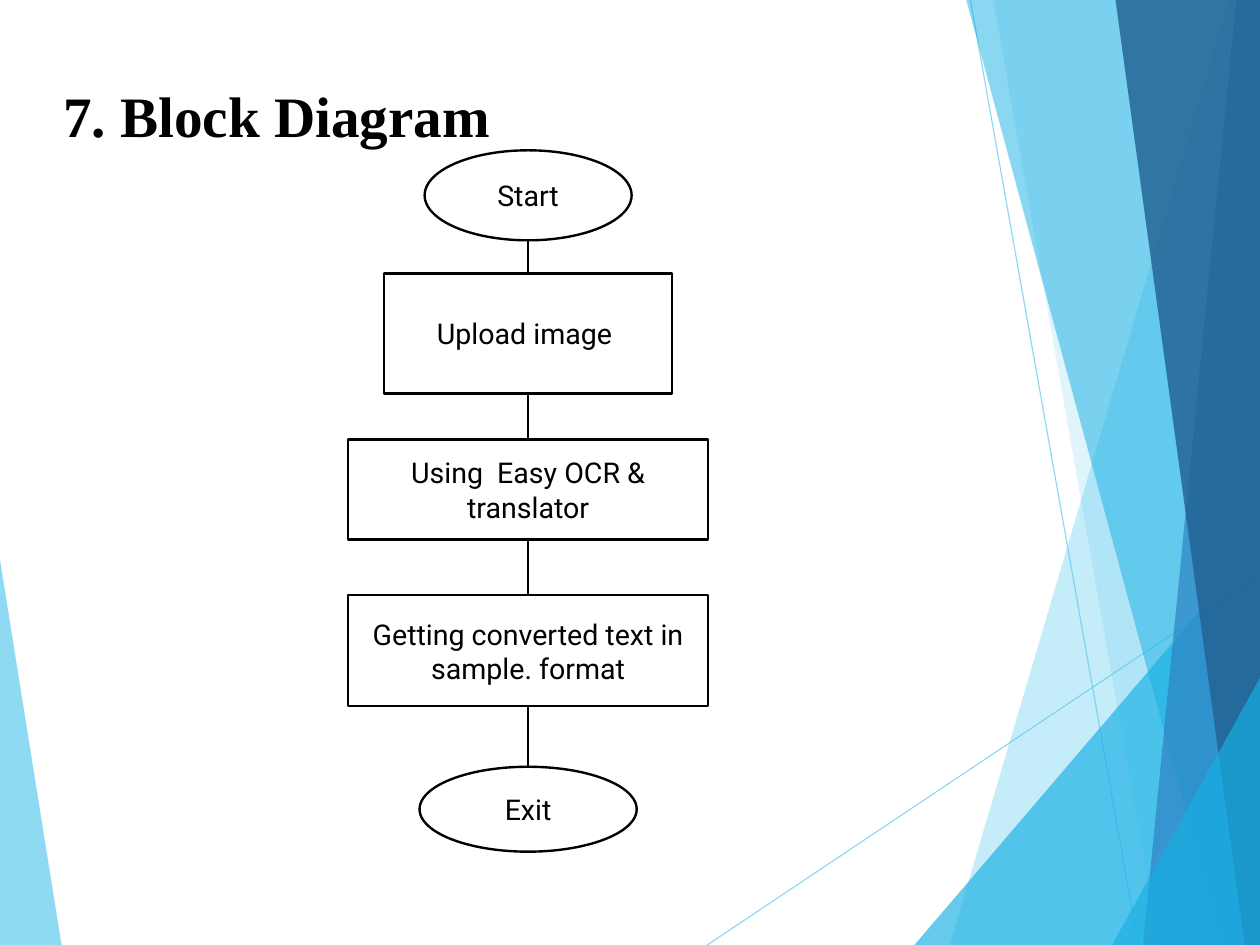
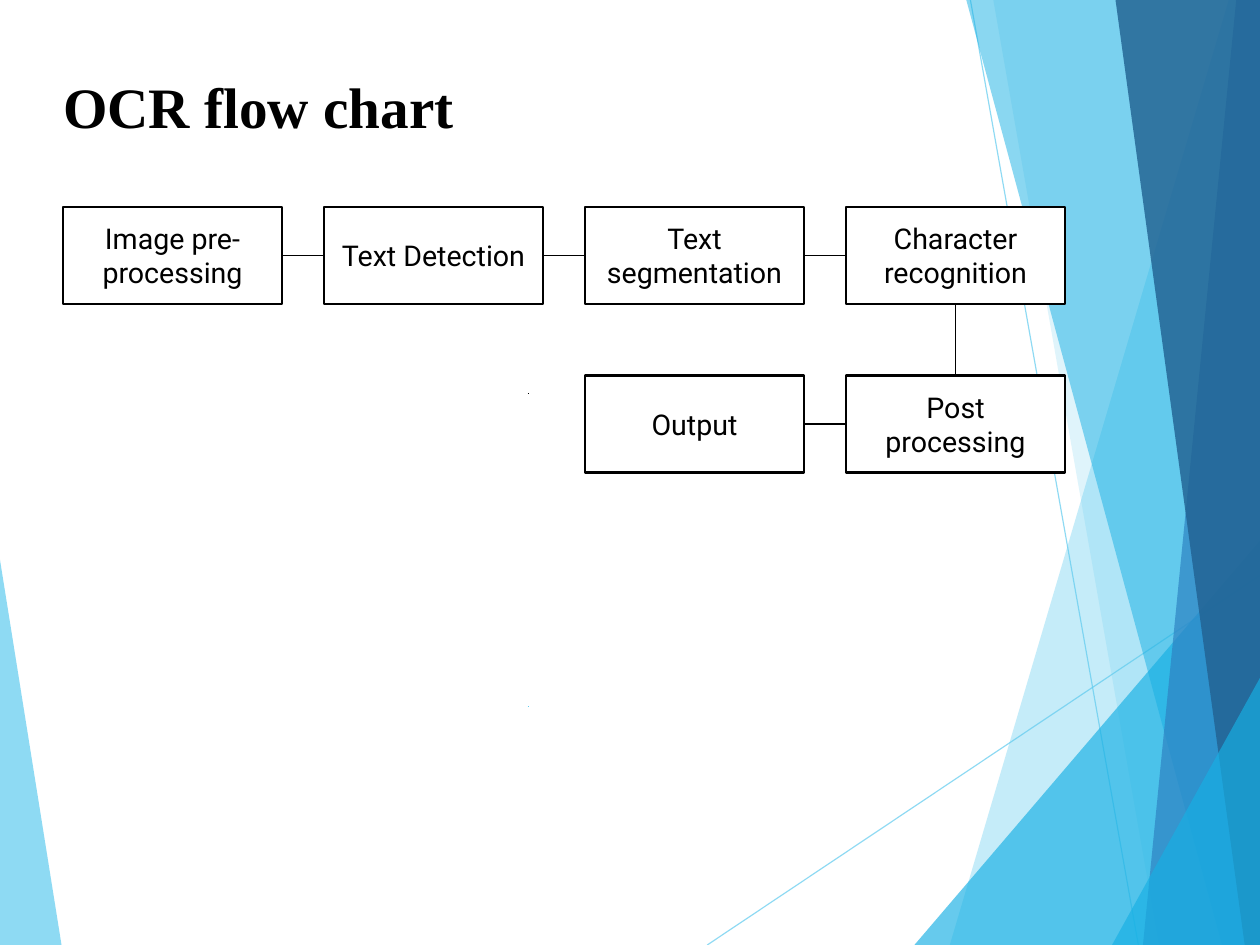
from dataclasses import dataclass
from itertools import pairwise

from lxml.etree import SubElement
from pptx import Presentation
from pptx.dml.color import RGBColor as RGB
from pptx.enum.shapes import MSO_CONNECTOR as CONN, MSO_SHAPE as SHAPE
from pptx.enum.text import MSO_ANCHOR as ANCHOR, MSO_AUTO_SIZE as AUTO, PP_ALIGN as ALIGN
from pptx.oxml.ns import qn
from pptx.util import Pt

W, H = 793.7, 595.28
TITLE_ONLY = 5
TOP, LEFT, BOTTOM, RIGHT = range(4)
OVAL_BOTTOM = 4  # an ellipse has eight connection sites


@dataclass(frozen=True)
class Theme:
    ink: RGB = RGB(0, 0, 0)
    paper: RGB = RGB(255, 255, 255)
    sky: RGB = RGB(0x5F, 0xCB, 0xEF)
    cyan: RGB = RGB(0x17, 0xB0, 0xE4)
    blue: RGB = RGB(0x2E, 0x83, 0xC3)
    navy: RGB = RGB(0x22, 0x62, 0x92)
    title_font: str = "Times New Roman"
    body_font: str = "Roboto"
    title_size: float = 36
    body_size: float = 18
    border: float = 1.5
    link: float = 1
    hairline: float = 0.75


T = Theme()


def set_opacity(s, percent):
    for color in s._element.spPr.iter(qn("a:srgbClr")):
        SubElement(color, qn("a:alpha"), val=str(percent * 1000))


def add_line(slide, start, end, color=T.ink, width=T.link):
    s = slide.shapes.add_connector(CONN.STRAIGHT, *map(Pt, (*start, *end)))
    s.line.color.rgb = color
    s.line.width = Pt(width)
    SubElement(s._element.spPr, qn("a:effectLst"))
    return s


def add_facet(slide, points, color, opacity):
    first, *rest = [(Pt(x), Pt(y)) for x, y in points]
    builder = slide.shapes.build_freeform(*first)
    builder.add_line_segments(rest)
    s = builder.convert_to_shape()
    s.shadow.inherit = False
    s.fill.solid()
    s.fill.fore_color.rgb = color
    s.line.fill.background()
    set_opacity(s, opacity)


def right_band(top_x, bottom_x):
    """Outline from a slanted left edge to the right edge of the slide."""
    return [(top_x, 0), (bottom_x, H), (W, H), (W, 0)]


def right_corner(x, y):
    return [(x, H), (W, y), (W, H)]


def draw_backdrop(slide):
    add_facet(slide, [(0, 352.75), (38.75, H), (0, H)], T.sky, 70)
    for start, end in [((445.5, H), (W, 362.5)), ((611.3, 0), (717.1, H))]:
        set_opacity(add_line(slide, start, end, T.sky, T.hairline), 70)
    for points, color, opacity in [
        (right_band(774, 598.3), T.sky, 36),
        (right_band(625.7, 730.1), T.sky, 20),
        (right_corner(576, 340.6), T.cyan, 66),
        (right_band(608.7, 769.7), T.cyan, 50),
        (right_band(778.75, 720), T.blue, 70),
        (right_band(702.7, 784.1), T.navy, 82),
        (right_corner(700.5, 427), T.cyan, 66),
    ]:
        add_facet(slide, points, color, opacity)


def share_backdrop(slide):
    """Draw the backdrop and move it to the slide's layout, behind the title."""
    layout = slide.slide_layout
    title = layout.placeholders[0]._element
    for ph in list(layout.placeholders)[1:]:
        ph._element.getparent().remove(ph._element)
    draw_backdrop(slide)
    for s in list(slide.shapes):
        if not s.is_placeholder:
            title.addprevious(s._element)


def set_title(slide, text, top):
    s = slide.shapes.title
    s.left, s.top, s.width, s.height = map(Pt, (39.8, top, 714, 99.5))
    tf = s.text_frame
    tf.text = text
    tf.word_wrap = True
    tf.auto_size = AUTO.NONE
    tf.vertical_anchor = ANCHOR.MIDDLE
    tf.margin_left = tf.margin_right = tf.margin_bottom = 0
    tf.margin_top = Pt(2)
    p = tf.paragraphs[0]
    p.alignment = ALIGN.LEFT
    p.line_spacing = 0.93
    set_font(p, T.title_font, T.title_size, True)


def set_font(p, name, size, bold=False):
    p.font.name = name
    p.font.size = Pt(size)
    p.font.bold = bold
    p.font.color.rgb = T.ink


def add_node(slide, kind, text, left, top, width, height):
    s = slide.shapes.add_shape(kind, *map(Pt, (left, top, width, height)))
    s.shadow.inherit = False
    s.fill.solid()
    s.fill.fore_color.rgb = T.paper
    s.line.color.rgb = T.ink
    s.line.width = Pt(T.border)
    tf = s.text_frame
    tf.text = text
    tf.word_wrap = True
    tf.vertical_anchor = ANCHOR.MIDDLE
    p = tf.paragraphs[0]
    p.alignment = ALIGN.CENTER
    set_font(p, T.body_font, T.body_size)
    return s


def link_nodes(slide, a, a_site, b, b_site):
    c = add_line(slide, (0, 0), (0, 0))
    c.begin_connect(a, a_site)
    c.end_connect(b, b_site)
    if a.auto_shape_type == SHAPE.OVAL and a_site == BOTTOM:
        c._element.nvCxnSpPr.cNvCxnSpPr.stCxn.idx = OVAL_BOTTOM


def build_block_diagram(slide):
    set_title(slide, "7. Block Diagram", 23.75)
    center = 332.7
    steps = [
        (SHAPE.OVAL, "Start", 94.7, 130.4, 56.7),
        (SHAPE.RECTANGLE, "Upload image ", 172.2, 181.4, 75.6),
        (SHAPE.RECTANGLE, "Using  Easy OCR & translator", 276.9, 226.8, 63.1),
        (SHAPE.RECTANGLE, "Getting converted text in sample. format", 375, 226.8, 69.9),
        (SHAPE.OVAL, "Exit", 483, 136.8, 53.5),
    ]
    nodes = [
        add_node(slide, kind, text, center - width / 2, top, width, height)
        for kind, text, top, width, height in steps
    ]
    for a, b in pairwise(nodes):
        link_nodes(slide, a, BOTTOM, b, TOP)


def build_ocr_flow(slide):
    set_title(slide, "OCR flow chart", 18)
    for y, color in [(247.75, T.ink), (445, T.sky)]:
        add_line(slide, (332.5, y), (333, y), color)
    left, top, col_step, row_step = 39.6, 130.4, 164.4, 106.2
    steps = [
        ("Image pre- processing", 0, 0),
        ("Text Detection", 1, 0),
        ("Text segmentation", 2, 0),
        ("Character recognition", 3, 0),
        ("Post processing", 3, 1),
        ("Output", 2, 1),
    ]
    nodes = [
        add_node(slide, SHAPE.RECTANGLE, text,
                 left + col * col_step, top + row * row_step, 138.2, 61)
        for text, col, row in steps
    ]
    sites = [(RIGHT, LEFT)] * 3 + [(BOTTOM, TOP), (LEFT, RIGHT)]
    for (a, b), (a_site, b_site) in zip(pairwise(nodes), sites):
        link_nodes(slide, a, a_site, b, b_site)


def main():
    prs = Presentation()
    prs.slide_width, prs.slide_height = Pt(W), Pt(H)
    layout = prs.slide_layouts[TITLE_ONLY]
    block_slide, flow_slide = [prs.slides.add_slide(layout) for _ in range(2)]
    share_backdrop(block_slide)
    build_block_diagram(block_slide)
    build_ocr_flow(flow_slide)
    prs.save("out.pptx")


if __name__ == "__main__":
    main()
